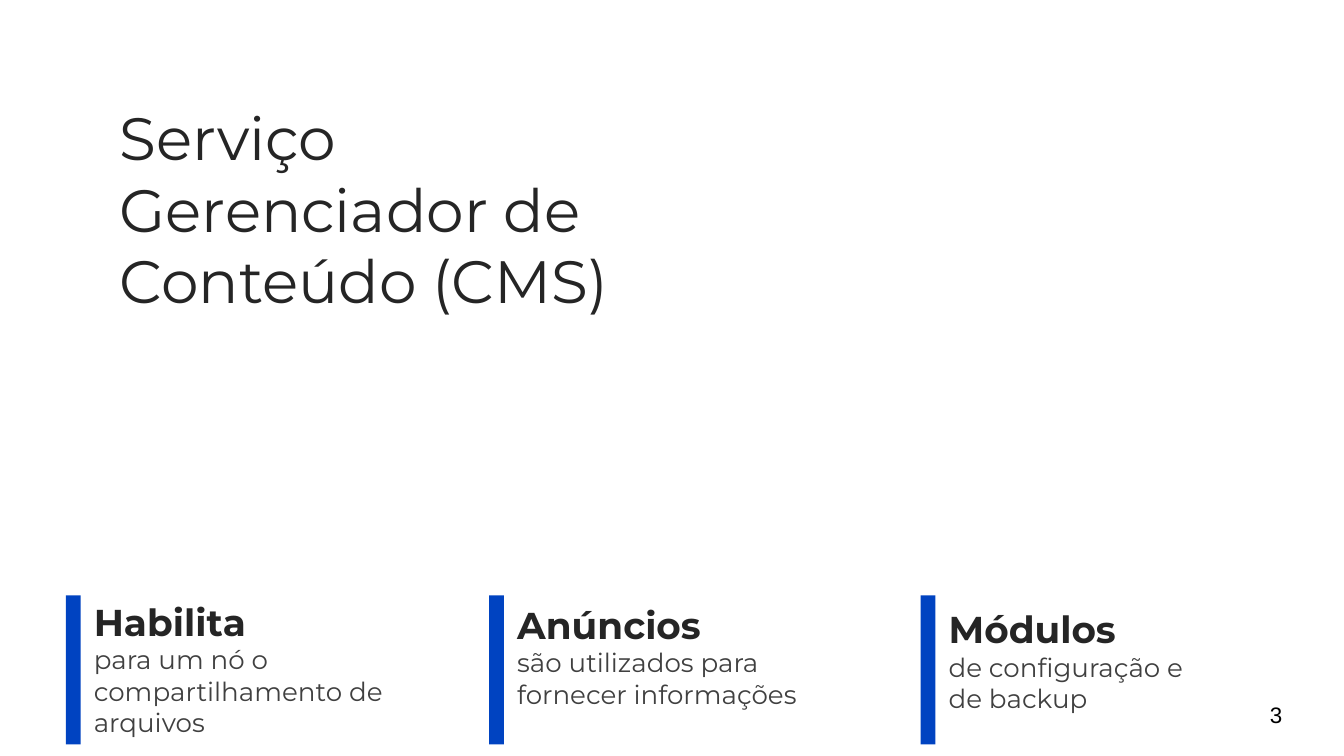
from pptx import Presentation
from pptx.dml.color import RGBColor
from pptx.enum.shapes import MSO_SHAPE
from pptx.enum.text import MSO_ANCHOR, MSO_AUTO_SIZE, PP_ALIGN
from pptx.util import Inches, Pt

RECTANGLE = MSO_SHAPE.RECTANGLE
BOTTOM, MIDDLE = MSO_ANCHOR.BOTTOM, MSO_ANCHOR.MIDDLE
NO_AUTOFIT = MSO_AUTO_SIZE.NONE
LEFT = PP_ALIGN.LEFT

WIDTH = 10
HEIGHT = WIDTH * 9 / 16
TITLE_ONLY = 5
INSET = 0.1
BAR_TOP, BAR_WIDTH, BAR_HEIGHT = 4.43, 0.11, 1.11
FEATURE_HEIGHT = 0.74

WHITE, BLACK, BLUE = "FFFFFF", "000000", "0043C1"
TITLE_FONT = {"name": "Montserrat", "size": Pt(32), "bold": False}
HEADING_FONT = {"name": "Montserrat", "size": Pt(20), "bold": True}
BODY_FONT = {"name": "Montserrat", "size": Pt(14), "bold": False}
NUMBER_FONT = {"name": "Arial", "size": Pt(12), "bold": False}
DARK, GREY = "252525", "404040"

# Bar left edge, text top, text width, heading, body paragraphs
FEATURES = [
    (0.49, 4.85, 2.73, "Habilita",
     ["para um nó o compartilhamento de arquivos"]),
    (3.64, 4.64, 2.5, "Anúncios",
     ["são utilizados para fornecer informações"]),
    (6.85, 4.67, 2.73, "Módulos",
     ["de configuração e", "de backup"]),
]


def color(hex_value):
    return RGBColor.from_string(hex_value)


def inches(*lengths):
    return [Inches(length) for length in lengths]


def fill_text(holder, lines, anchor, bottom_inset=INSET):
    """Write (text, font format, colour) lines as paragraphs of a shape."""
    frame = holder.text_frame
    frame_format = {
        "word_wrap": True,
        "auto_size": NO_AUTOFIT,
        "vertical_anchor": anchor,
        "margin_left": Inches(INSET),
        "margin_right": Inches(INSET),
        "margin_top": Inches(INSET),
        "margin_bottom": Inches(bottom_inset),
    }
    for attribute, value in frame_format.items():
        setattr(frame, attribute, value)
    for index, (text, font_format, hex_value) in enumerate(lines):
        paragraph = frame.add_paragraph() if index else frame.paragraphs[0]
        paragraph.alignment = LEFT
        run = paragraph.add_run()
        run.text = text
        for attribute, value in font_format.items():
            setattr(run.font, attribute, value)
        run.font.color.rgb = color(hex_value)


def add_block(slide, left, top, width, height, hex_value):
    block = slide.shapes.add_shape(RECTANGLE, *inches(left, top, width, height))
    block.shadow.inherit = False
    block.fill.solid()
    block.fill.fore_color.rgb = color(hex_value)
    block.line.fill.background()


def add_text(slide, left, top, width, height, lines, anchor):
    box = slide.shapes.add_textbox(*inches(left, top, width, height))
    fill_text(box, lines, anchor)


def add_feature(slide, left, text_top, text_width, heading, body):
    """Add a heading and its body text beside a vertical bar."""
    lines = [(heading, HEADING_FONT, DARK)]
    lines += [(text, BODY_FONT, GREY) for text in body]
    add_text(slide, left + BAR_WIDTH, text_top, text_width, FEATURE_HEIGHT,
             lines, BOTTOM)
    add_block(slide, left, BAR_TOP, BAR_WIDTH, BAR_HEIGHT, BLUE)


def set_title(slide, text):
    title = slide.shapes.title
    title.left, title.top, title.width, title.height = inches(
        0.79, 1.37, 4.28, 2.14)
    fill_text(title, [(text, TITLE_FONT, DARK)], BOTTOM, bottom_inset=1.16)
    # The backdrop is drawn first, so the title moves to the front.
    slide.shapes.element.append(title.element)


def main():
    deck = Presentation()
    deck.slide_width, deck.slide_height = inches(WIDTH, HEIGHT)
    slide = deck.slides.add_slide(deck.slide_layouts[TITLE_ONLY])

    add_block(slide, -0.11, 0.04, 10.23, 5.94, WHITE)
    add_text(slide, 9.35, 5.1, 0.6, 0.43, [("3", NUMBER_FONT, BLACK)], MIDDLE)
    for feature in FEATURES:
        add_feature(slide, *feature)
    set_title(slide, "Serviço Gerenciador de Conteúdo (CMS)")
    deck.save("out.pptx")


if __name__ == "__main__":
    main()
